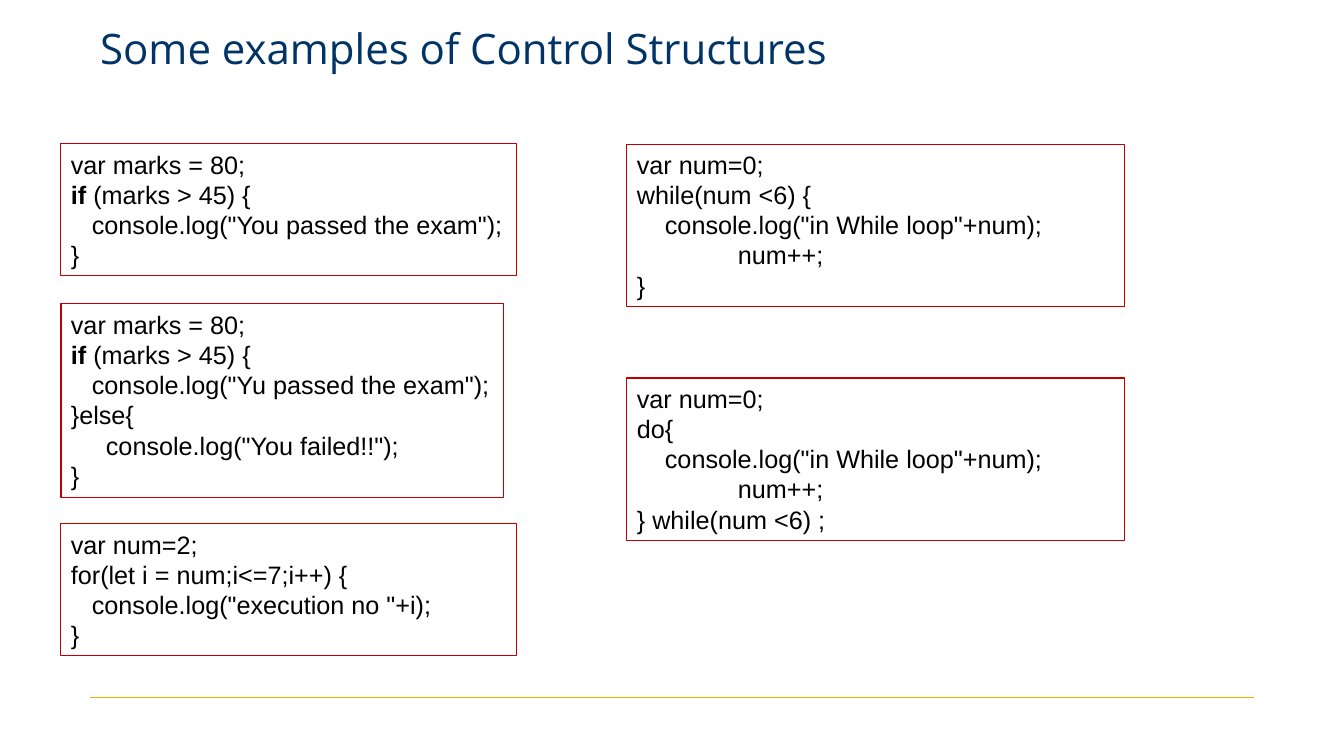
from pptx import Presentation, util as u
from pptx.dml.color import RGBColor
from pptx.enum import shapes, text
from pptx.oxml import parse_xml
from pptx.oxml.ns import nsdecls


def px(n):
    return u.Emu(round(n * 914400 / 100.8))


def write(par, words, size=18, font="Arial", color="000000", bold=False):
    run = par.add_run()
    run.text = words
    run.font.size = u.Pt(size)
    run.font.name = font
    run.font.bold = bold
    run.font.color.rgb = RGBColor.from_string(color)


deck = Presentation()
deck.slide_width, deck.slide_height = px(1344), px(756)
slide = deck.slides.add_slide(deck.slide_layouts[5])

# Footer rule
rule = slide.shapes.add_connector(shapes.MSO_CONNECTOR.STRAIGHT,
                                  px(90), px(697), px(1254), px(697))
rule.line.color.rgb = RGBColor.from_string("EEB000")
rule.line.width = u.Pt(0.25)
rule._element.spPr.append(parse_xml("<a:effectLst %s/>" % nsdecls("a")))

# Title
title = slide.shapes.title
title.left, title.top, title.width, title.height = px(90), px(17), px(1176), px(101)
frame = title.text_frame
frame.vertical_anchor = text.MSO_ANCHOR.TOP
frame.auto_size = text.MSO_AUTO_SIZE.NONE
frame.paragraphs[0].alignment = text.PP_ALIGN.LEFT
write(frame.paragraphs[0], "Some examples of Control Structures",
      size=30, font="Open Sans", color="003366")

# Code boxes: left, top, width, height, then (indent, code) lines
marks = [(0, "var marks = 80;"), (0, "if (marks > 45) {")]
loop = [(28, 'console.log("in While loop"+num);'), (101, "num++;")]
boxes = [
    (61, 144, 456, 132, marks + [
        (21, 'console.log("You passed the exam");'), (0, "}")]),
    (61, 304, 443, 194, marks + [
        (21, 'console.log("Yu passed the exam");'), (0, "}else{"),
        (35, 'console.log("You failed!!");'), (0, "}")]),
    (61, 524, 456, 132, [
        (0, "var num=2;"), (0, "for(let i = num;i<=7;i++) {"),
        (21, 'console.log("execution no "+i);'), (0, "}")]),
    (627, 144, 498, 163, [
        (0, "var num=0;"), (0, "while(num <6) {"), *loop, (0, "}")]),
    (627, 378, 498, 163, [
        (0, "var num=0;"), (0, "do{"), *loop, (0, "} while(num <6) ;")]),
]
for left, top, wide, high, code in boxes:
    box = slide.shapes.add_shape(shapes.MSO_SHAPE.RECTANGLE,
                                 px(left), px(top), px(wide), px(high))
    box.shadow.inherit = False
    box.fill.background()
    box.line.color.rgb = RGBColor.from_string("C00000")
    box.line.width = u.Pt(0.75)
    frame = box.text_frame
    frame.word_wrap = True
    frame.vertical_anchor = text.MSO_ANCHOR.TOP
    for row, (indent, words) in enumerate(code):
        par = frame.add_paragraph() if row else frame.paragraphs[0]
        par.alignment = text.PP_ALIGN.LEFT
        par._p.get_or_add_pPr().set("marL", str(px(indent)))
        if words.startswith("if "):
            write(par, "if ", bold=True)
            words = words[3:]
        write(par, words)

deck.save("out.pptx")
